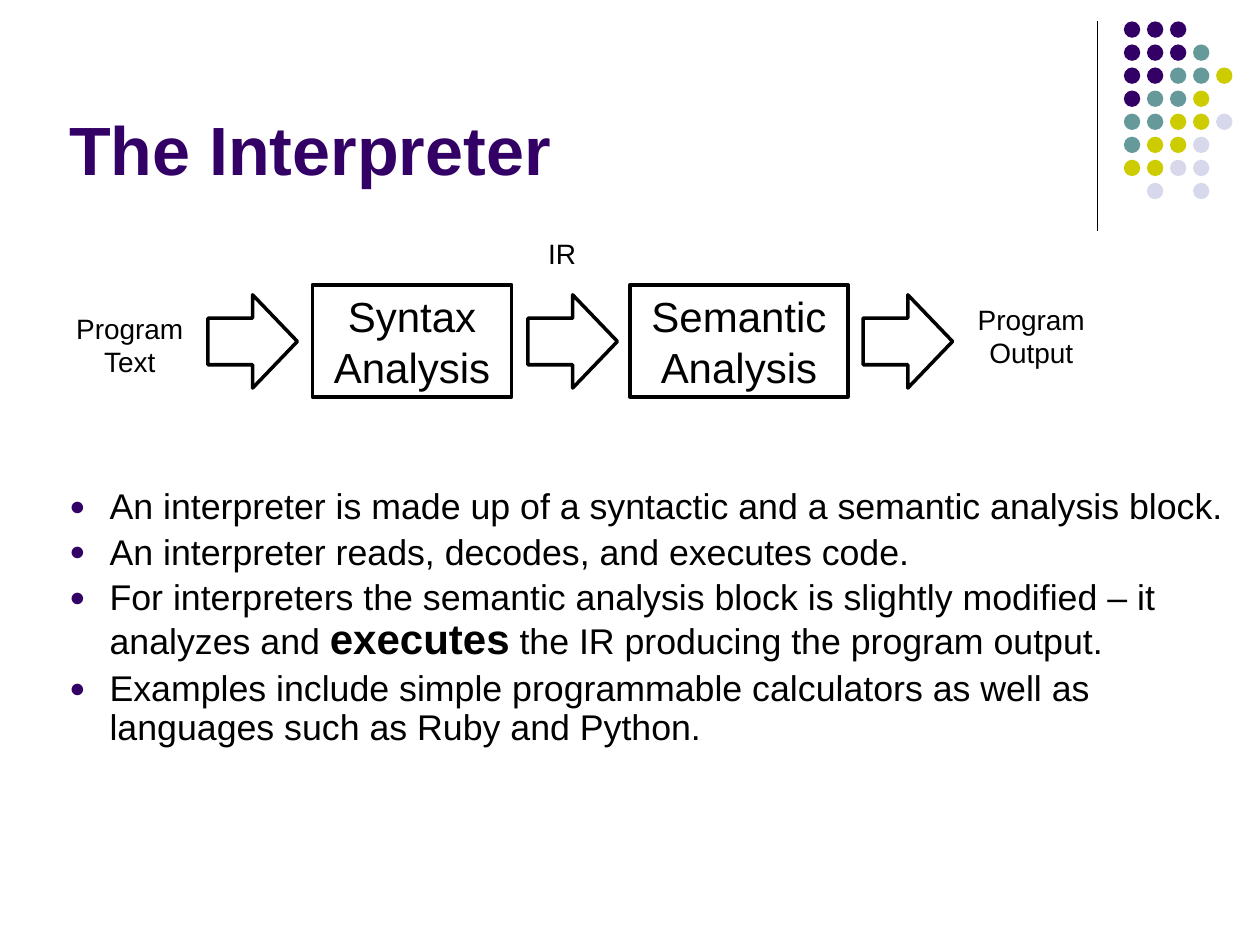
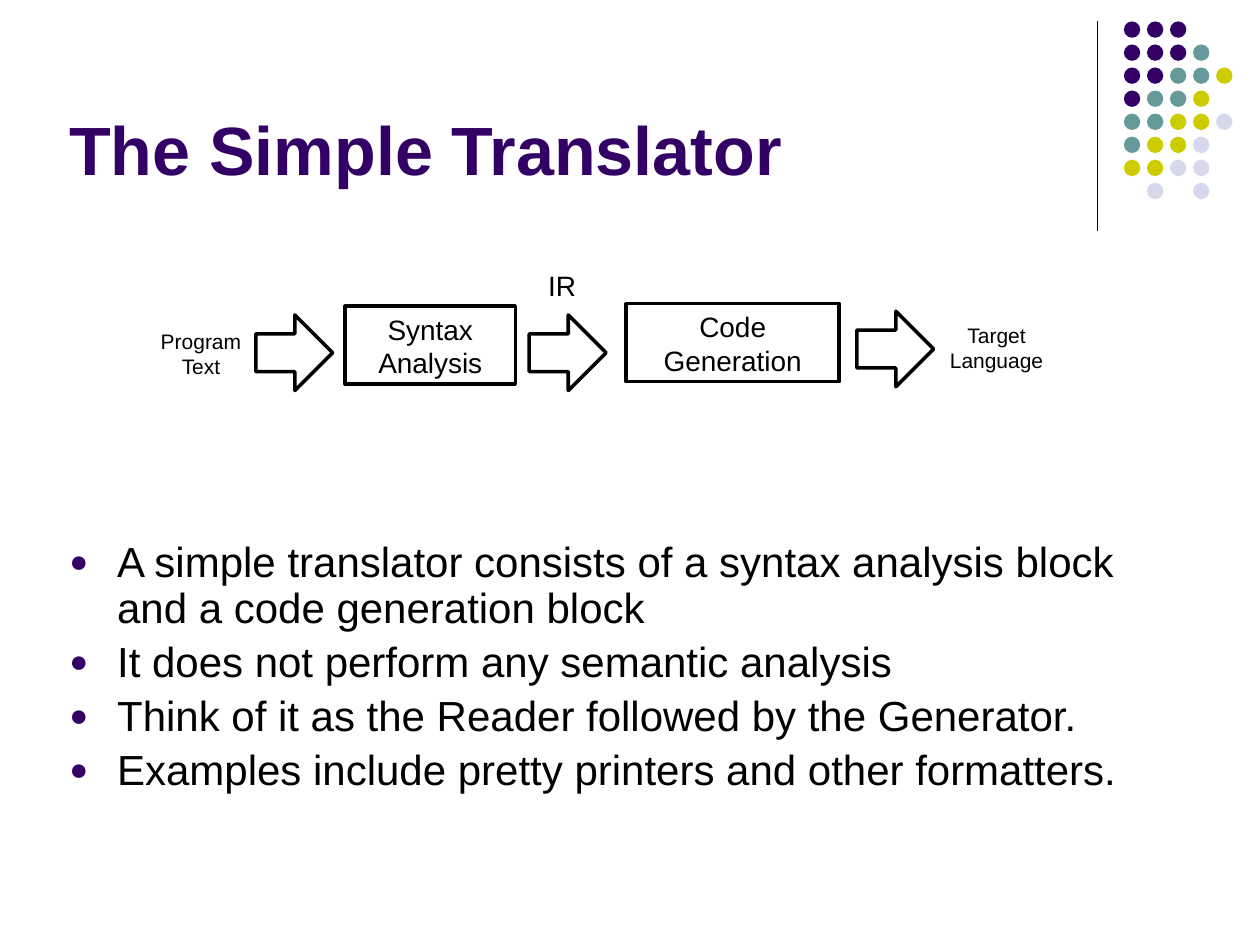
from dataclasses import dataclass
from typing import NamedTuple

from lxml.etree import SubElement
from pptx import Presentation
from pptx.dml.color import RGBColor
from pptx.enum.shapes import MSO_CONNECTOR, MSO_SHAPE
from pptx.enum.text import MSO_ANCHOR, MSO_AUTO_SIZE, PP_ALIGN
from pptx.oxml.ns import qn
from pptx.util import Inches, Pt

SLIDE_WIDTH, SLIDE_HEIGHT = Inches(10), Inches(7.5)
COLUMNS, ROWS = 100, 75
FONT = "Arial"
PURPLE, TEAL, LIME, LAVENDER = "330066", "669999", "CCCC00", "D8D8EC"
BLACK, WHITE = "000000", "FFFFFF"
DOT_COLORS = {"P": PURPLE, "T": TEAL, "L": LIME, "V": LAVENDER}
DOT_ROWS = ("PPP", "PPPT", "PPTTL", "PTTL", "TTLLV", "TLLV", "LLVV", " V V")
DOT_LEFT, DOT_TOP, DOT_STEP, DOT_SIZE = 89.2, 1.7, 1.83, 1.3
RULE_COLUMN, RULE_TOP, RULE_BOTTOM = 87.1, 1.7, 18.3


class Area(NamedTuple):
    column: float
    row: float
    columns: float
    rows: float


class Span(NamedTuple):
    text: str
    size: float
    color: str = BLACK
    bold: bool = False


Paragraph = tuple[Span, ...]


@dataclass(frozen=True)
class Label:
    area: Area
    paragraphs: tuple[str, ...]
    size: float
    boxed: bool = False
    align: PP_ALIGN = PP_ALIGN.CENTER


@dataclass(frozen=True)
class Bullets:
    area: Area
    indent: float
    space_before: float
    paragraphs: tuple[Paragraph, ...]


@dataclass(frozen=True)
class Page:
    title: str
    labels: tuple[Label, ...]
    arrows: tuple[Area, ...]
    bullets: Bullets


TITLE_AREA = Area(5, 1.3, 82.5, 14.2)

INTERPRETER = Page(
    "The Interpreter",
    (
        Label(Area(24.8, 22.6, 15.8, 8.9), ("Syntax", "Analysis"), 24, True),
        Label(Area(50, 22.6, 17.3, 8.9), ("Semantic", "Analysis"), 24, True),
        Label(Area(5.5, 24.2, 9.6, 5.9), ("Program\nText",), 16),
        Label(Area(43, 18.3, 3.4, 3.4), ("IR",), 16, align=PP_ALIGN.LEFT),
        Label(Area(77, 23.5, 9.7, 5.9), ("Program", "Output"), 16),
    ),
    tuple(Area(column, 23.4, 7.1, 7.4) for column in (16.5, 41.9, 68.5)),
    Bullets(
        Area(5, 38.3, 93.3, 23.3), 3.2, 4,
        (
            (Span("An interpreter is made up of a syntactic and a semantic analysis block.", 20.4),),
            (Span("An interpreter reads, decodes, and executes code.", 20.4),),
            (
                Span("For interpreters the semantic analysis block is slightly modified – it analyzes and ", 20.4),
                Span("executes", 24, bold=True),
                Span(" the IR producing the program output.", 20.4),
            ),
            (Span("Examples include simple programmable calculators as well as "
                  "languages such as Ruby and Python.", 20.4),),
        ),
    ),
)

TRANSLATOR = Page(
    "The Simple Translator",
    (
        Label(Area(27.4, 24.3, 13.5, 6.2), ("Syntax", "Analysis"), 16, True),
        Label(Area(49.7, 24.1, 16.9, 6.2), ("Code", "Generation"), 16, True),
        Label(Area(12.2, 25.6, 7.5, 4.8), ("Program\nText",), 12),
        Label(Area(43, 20.8, 3.4, 3.4), ("IR",), 16, align=PP_ALIGN.LEFT),
        Label(Area(74.8, 25.1, 8.6, 4.8), ("Target\nLanguage",), 12),
    ),
    tuple(Area(column, row, 6.1, 6) for column, row in ((20.3, 25), (42, 25), (68, 24.7))),
    Bullets(
        Area(5, 42.5, 90, 23.3), 3.8, 5,
        tuple(
            (Span(text, 24),)
            for text in (
                "A simple translator consists of a syntax analysis block and a code generation block",
                "It does not perform any semantic analysis",
                "Think of it as the Reader followed by the Generator.",
                "Examples include pretty printers and other formatters.",
            )
        ),
    ),
)


def rgb(value: str) -> RGBColor:
    return RGBColor.from_string(value)


def across(columns: float) -> int:
    return round(SLIDE_WIDTH * columns / COLUMNS)


def down(rows: float) -> int:
    return round(SLIDE_HEIGHT * rows / ROWS)


def place(area: Area) -> tuple[int, int, int, int]:
    return across(area.column), down(area.row), across(area.columns), down(area.rows)


def add_spans(para, spans: Paragraph) -> None:
    for span in spans:
        for index, line in enumerate(span.text.split("\n")):
            if index:
                para.add_line_break()
            run = para.add_run()
            run.text = line
            run.font.name = FONT
            run.font.size = Pt(span.size)
            run.font.bold = span.bold
            run.font.color.rgb = rgb(span.color)


def fill_text(box, paragraphs: tuple[Paragraph, ...], align=PP_ALIGN.LEFT,
              anchor=MSO_ANCHOR.TOP, wrap: bool = True) -> list:
    frame = box.text_frame
    frame.word_wrap = wrap
    frame.vertical_anchor = anchor
    frame.margin_left = frame.margin_right = Inches(0.05)
    frame.margin_top = frame.margin_bottom = Inches(0.05)
    for index, spans in enumerate(paragraphs):
        para = frame.add_paragraph() if index else frame.paragraphs[0]
        para.alignment = align
        add_spans(para, spans)
    return list(frame.paragraphs)


def add_figure(slide, kind: MSO_SHAPE, area: Area, fill: str, outlined: bool = True):
    figure = slide.shapes.add_shape(kind, *place(area))
    figure.shadow.inherit = False
    figure.fill.solid()
    figure.fill.fore_color.rgb = rgb(fill)
    if outlined:
        figure.line.color.rgb = rgb(BLACK)
        figure.line.width = Pt(2)
    else:
        figure.line.fill.background()
    return figure


def add_corner(slide) -> None:
    rule = slide.shapes.add_connector(
        MSO_CONNECTOR.STRAIGHT, across(RULE_COLUMN), down(RULE_TOP),
        across(RULE_COLUMN), down(RULE_BOTTOM))
    rule.line.color.rgb = rgb(BLACK)
    rule.line.width = Pt(0.75)
    SubElement(rule._element.spPr, qn("a:effectLst"))
    for row, pattern in enumerate(DOT_ROWS):
        for column, key in enumerate(pattern):
            if key in DOT_COLORS:
                area = Area(DOT_LEFT + column * DOT_STEP, DOT_TOP + row * DOT_STEP,
                            DOT_SIZE, DOT_SIZE)
                add_figure(slide, MSO_SHAPE.OVAL, area, DOT_COLORS[key], outlined=False)


def add_title(slide, title: str) -> None:
    box = slide.shapes.add_textbox(*place(TITLE_AREA))
    fill_text(box, ((Span(title, 39, PURPLE, True),),), anchor=MSO_ANCHOR.BOTTOM)


def add_label(slide, label: Label) -> None:
    if label.boxed:
        box = add_figure(slide, MSO_SHAPE.RECTANGLE, label.area, WHITE)
    else:
        box = slide.shapes.add_textbox(*place(label.area))
    paragraphs = tuple((Span(text, label.size),) for text in label.paragraphs)
    fill_text(box, paragraphs, label.align, wrap=label.boxed)
    box.text_frame.auto_size = MSO_AUTO_SIZE.SHAPE_TO_FIT_TEXT


def add_bullets(slide, bullets: Bullets) -> None:
    box = slide.shapes.add_textbox(*place(bullets.area))
    for index, para in enumerate(fill_text(box, bullets.paragraphs)):
        para.line_spacing = 0.9
        if index:
            para.space_before = Pt(bullets.space_before)
        properties = para._p.get_or_add_pPr()
        indent = across(bullets.indent)
        properties.set("marL", str(indent))
        properties.set("indent", str(-indent))
        color = SubElement(properties, qn("a:buClr"))
        SubElement(color, qn("a:srgbClr"), val=PURPLE)
        SubElement(properties, qn("a:buSzPct"), val="75000")
        SubElement(properties, qn("a:buFont"), typeface=FONT)
        SubElement(properties, qn("a:buChar"), char="●")


def add_page(deck, page: Page) -> None:
    slide = deck.slides.add_slide(deck.slide_layouts[6])
    add_corner(slide)
    add_title(slide, page.title)
    add_bullets(slide, page.bullets)
    for area in page.arrows:
        add_figure(slide, MSO_SHAPE.RIGHT_ARROW, area, WHITE)
    for label in page.labels:
        add_label(slide, label)


def main() -> None:
    deck = Presentation()
    deck.slide_width, deck.slide_height = SLIDE_WIDTH, SLIDE_HEIGHT
    for page in (INTERPRETER, TRANSLATOR):
        add_page(deck, page)
    deck.save("out.pptx")


if __name__ == "__main__":
    main()
